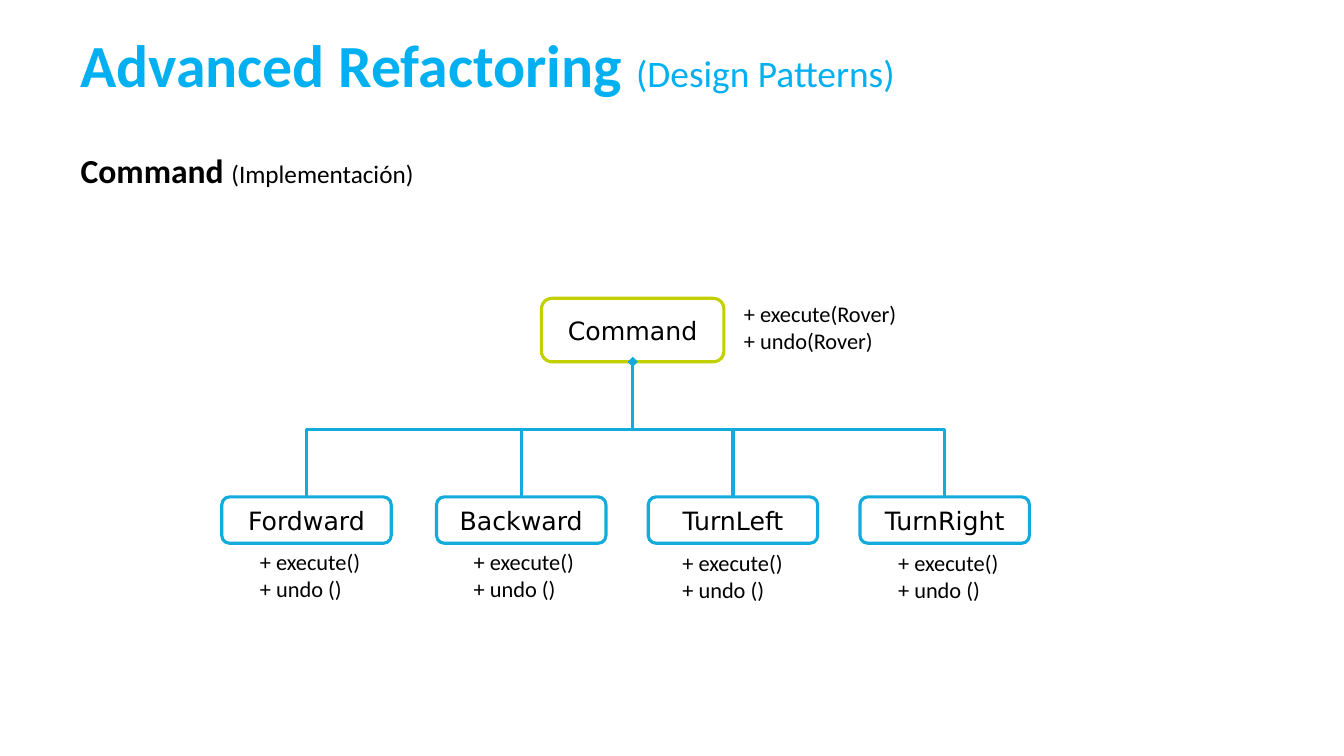
from pptx import Presentation
from pptx.dml.color import RGBColor
from pptx.enum.shapes import MSO_CONNECTOR, MSO_SHAPE
from pptx.enum.text import MSO_ANCHOR, MSO_AUTO_SIZE, PP_ALIGN
from pptx.oxml.ns import qn
from pptx.util import Inches, Pt
from lxml import etree

ELBOW = MSO_CONNECTOR.ELBOW
ROUND = MSO_SHAPE.ROUNDED_RECTANGLE
MIDDLE = MSO_ANCHOR.MIDDLE
GROW = MSO_AUTO_SIZE.SHAPE_TO_FIT_TEXT
CENTER, JUSTIFY = PP_ALIGN.CENTER, PP_ALIGN.JUSTIFY

COLORS = {"title": "00B0F0", "text": "000000", "box": "FFFFFF",
          "base": "C2CF00", "child": "12ABDB"}

# Heading runs: text, size, bold
TITLE = [("Advanced Refactoring ", 42.7, True), ("(Design Patterns)", 26.7, False)]
TOPIC = [("Command ", 24, True), ("(Implementación)", 18, False)]

BASE = ("Command", 5.37, 2.96, 1.81, 0.63)
BASE_OPS = ["+ execute(Rover)", "+ undo(Rover)"]
OPS = ["+ execute()", "+ undo ()"]
# Name, left of box, left and top of its operations
CHILDREN = [("Fordward", 2.2, 2.48, 5.39), ("Backward", 4.33, 4.6, 5.39),
            ("TurnLeft", 6.43, 6.67, 5.4), ("TurnRight", 8.53, 8.81, 5.4)]
CHILD_TOP, CHILD_W, CHILD_H = 4.93, 1.68, 0.46

prs = Presentation()
prs.slide_width, prs.slide_height = Inches(13.33), Inches(7.5)
slide = prs.slides.add_slide(prs.slide_layouts[6])


def rgb(name):
    return RGBColor.from_string(COLORS[name])


def style(font, size, color="text", face="Calibri", bold=False):
    font.size, font.name, font.bold = Pt(size), face, bold
    font.color.rgb = rgb(color)


def add_text(x, y, w, h):
    return slide.shapes.add_textbox(Inches(x), Inches(y), Inches(w), Inches(h)).text_frame


def add_heading(runs, y, h, color):
    frame = add_text(0.67, y, 12, h)
    frame.word_wrap = True
    frame.margin_left = frame.margin_right = Inches(0.13)
    frame.margin_top = frame.margin_bottom = Inches(0.07)
    for text, size, bold in runs:
        run = frame.paragraphs[0].add_run()
        run.text = text
        style(run.font, size, color, bold=bold)
    return frame


def add_ops(lines, x, y, w):
    frame = add_text(x, y, w, 0.64)
    frame.word_wrap = False
    frame.auto_size = GROW
    frame.text = "\n".join(lines)
    for para in frame.paragraphs:
        for run in para.runs:
            style(run.font, 16)


def add_box(name, x, y, w, h, line):
    box = slide.shapes.add_shape(ROUND, Inches(x), Inches(y), Inches(w), Inches(h))
    box.shadow.inherit = False
    box.fill.solid()
    box.fill.fore_color.rgb = rgb("box")
    box.line.color.rgb = rgb(line)
    box.line.width = Pt(2.25)
    frame = box.text_frame
    frame.text = name
    frame.vertical_anchor = MIDDLE
    frame.paragraphs[0].alignment = CENTER
    style(frame.paragraphs[0].runs[0].font, 18, face="DejaVu Sans")
    return box


def add_link(child, base):
    """Join child top to base bottom by an elbow that leaves vertically."""
    x1, y1 = child.left + child.width // 2, child.top
    x2, y2 = base.left + base.width // 2, base.top + base.height
    link = slide.shapes.add_connector(ELBOW, x1, y1, x2, y2)
    link.begin_connect(child, 0)
    link.end_connect(base, 2)
    rise, run = y1 - y2, abs(x2 - x1)
    link.left, link.top = (x1 + x2 - rise) // 2, (y1 + y2 - run) // 2
    link.width, link.height = rise, run
    props = link._element.spPr
    xfrm = props.find(qn("a:xfrm"))
    on_left = x1 < x2
    xfrm.set("rot", str((90 if on_left else 270) * 60000))
    xfrm.set("flipH", "1" if on_left else "0")
    xfrm.set("flipV", "1")
    link.line.color.rgb = rgb("child")
    link.line.width = Pt(2.25)
    etree.SubElement(props.find(qn("a:ln")), qn("a:tailEnd"), type="diamond")
    etree.SubElement(props, qn("a:effectLst"))


title = add_heading(TITLE, 0.3, 0.75, "title")
title.vertical_anchor = MIDDLE
title.paragraphs[0].line_spacing = 0.9
topic = add_heading(TOPIC, 1.42, 0.97, "text")
topic.paragraphs[0].alignment = JUSTIFY

base = add_box(*BASE, "base")
add_ops(BASE_OPS, 7.28, 2.93, 1.71)
for name, x, ops_x, ops_y in CHILDREN:
    child = add_box(name, x, CHILD_TOP, CHILD_W, CHILD_H, "child")
    add_link(child, base)
    add_ops(OPS, ops_x, ops_y, 1.2)

prs.save("out.pptx")
